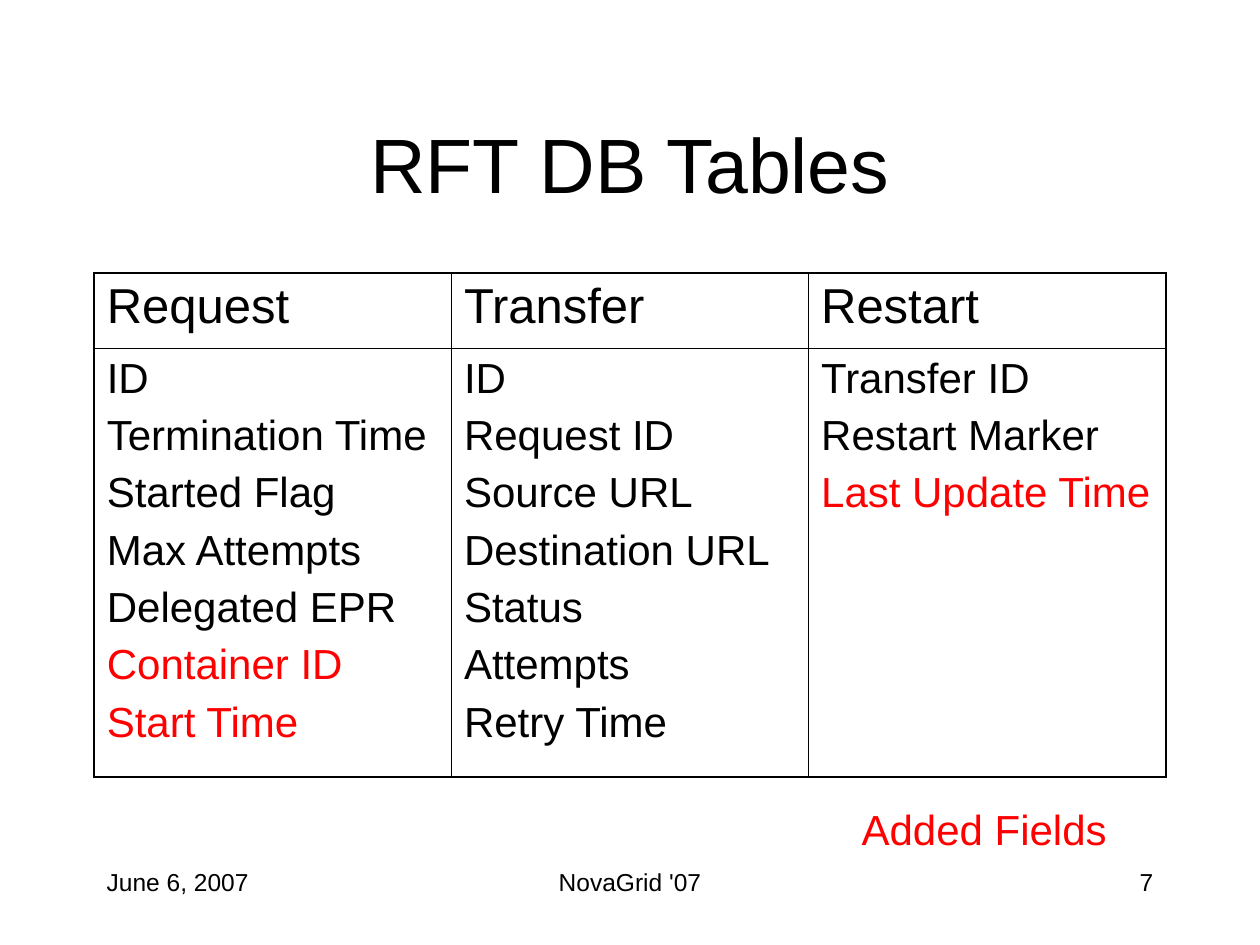
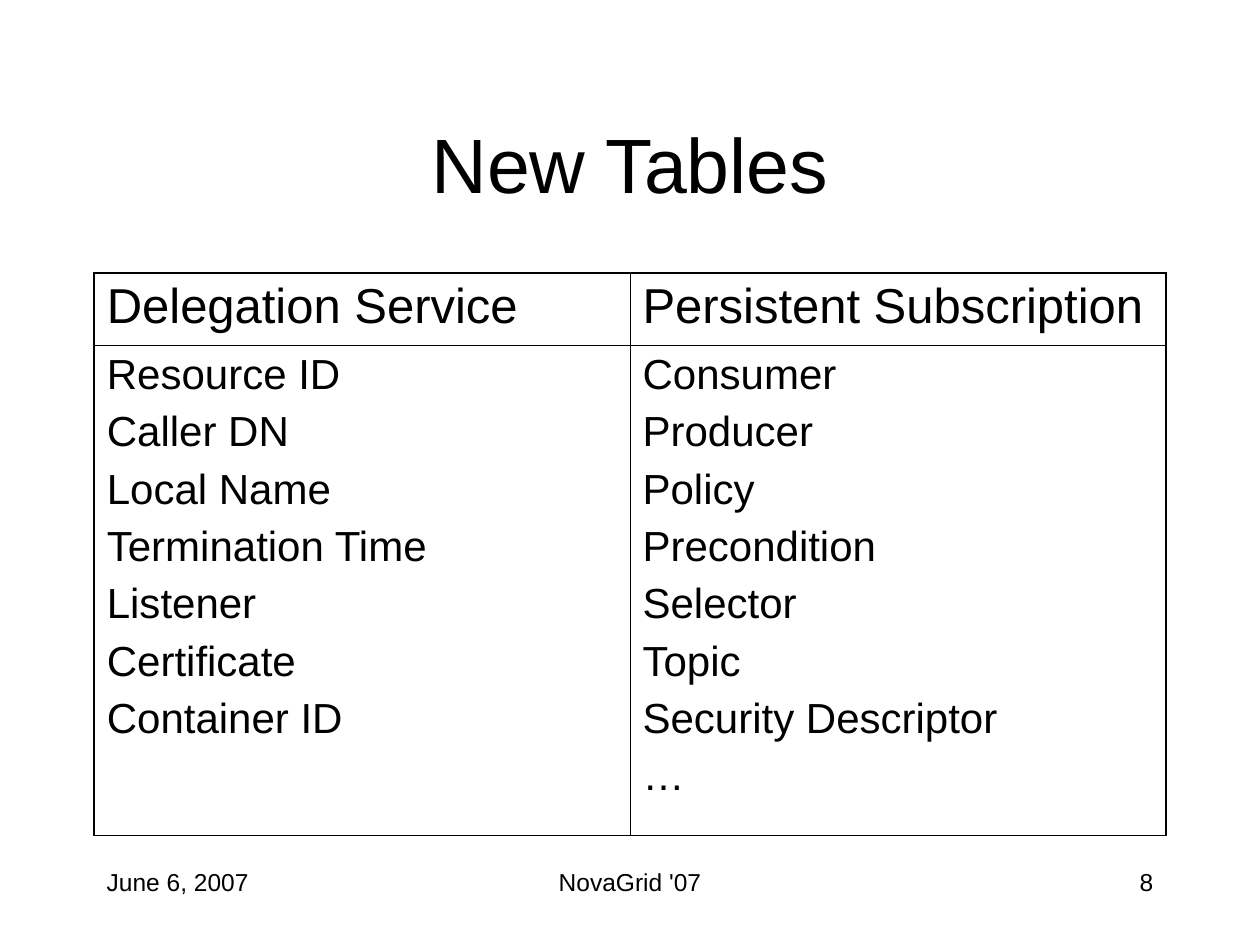
"""Build two slides that list database tables and their fields."""
from dataclasses import dataclass

from lxml import etree
from pptx import Presentation
from pptx import util as u
from pptx.dml import color
from pptx.enum import text
from pptx.oxml import ns


@dataclass(frozen=True)
class Theme:
    font: str = "Arial"
    ink: str = "000000"
    added: str = "FF0000"
    title_size: float = 44
    header_size: float = 28
    field_size: float = 24
    footer_size: float = 14
    outer_line: float = 1.08
    inner_line: float = 0.45


LEFT, WIDTH = 1.9, 21.6
TABLE_TOP = 5.51
FOOTER_TOP, LABEL_HEIGHT = 17.35, 1.27
DATE, EVENT = "June 6, 2007", "NovaGrid '07"
ALIGN = text.PP_ALIGN


class Deck:
    def __init__(self, theme):
        self.theme = theme
        self.deck = Presentation()
        self.deck.slide_width = u.Cm(25.4)
        self.deck.slide_height = u.Cm(19.05)
        self.page = None

    def add_page(self, title, number):
        self.page = self.deck.slides.add_slide(self.deck.slide_layouts[5])
        self.title(title)
        self.footer(number)

    def style(self, para, size, ink=None, align=ALIGN.LEFT, before=0):
        para.alignment = align
        para.space_before = u.Pt(before)
        para.font.name = self.theme.font
        para.font.size = u.Pt(size)
        para.font.color.rgb = color.RGBColor.from_string(ink or self.theme.ink)

    def title(self, words):
        box = self.page.shapes.title
        box.left, box.top = u.Cm(LEFT), u.Cm(1.68)
        box.width, box.height = u.Cm(WIDTH), u.Cm(3.18)
        frame = box.text_frame
        frame.text = words
        frame.auto_size = text.MSO_AUTO_SIZE.NONE
        frame.vertical_anchor = text.MSO_ANCHOR.MIDDLE
        self.style(frame.paragraphs[0], self.theme.title_size, align=ALIGN.CENTER)

    def label(self, words, left, top, width, size, ink=None, align=ALIGN.LEFT):
        box = self.page.shapes.add_textbox(*map(u.Cm, (left, top, width, LABEL_HEIGHT)))
        frame = box.text_frame
        frame.word_wrap = True
        frame.text = words
        self.style(frame.paragraphs[0], size, ink, align)

    def footer(self, number):
        side, middle = 5.3, 8.06
        parts = (
            (EVENT, LEFT + (WIDTH - middle) / 2, middle, ALIGN.CENTER),
            (str(number), LEFT + WIDTH - side, side, ALIGN.RIGHT),
            (DATE, LEFT, side, ALIGN.LEFT),
        )
        for words, left, width, align in parts:
            self.label(words, left, FOOTER_TOP, width, self.theme.footer_size, align=align)

    def borders(self, cell, outer):
        properties = cell._tc.get_or_add_tcPr()
        for side in "LRTB":
            width = self.theme.outer_line if side in outer else self.theme.inner_line
            line = etree.SubElement(properties, ns.qn(f"a:ln{side}"), w=str(u.Pt(width)))
            fill = etree.SubElement(line, ns.qn("a:solidFill"))
            etree.SubElement(fill, ns.qn("a:srgbClr"), val=self.theme.ink)

    def table(self, columns, row_heights, added=()):
        count = len(columns)
        frame = self.page.shapes.add_table(
            2, count, u.Cm(LEFT), u.Cm(TABLE_TOP), u.Cm(WIDTH), u.Cm(sum(row_heights)))
        table = frame.table
        table.first_row = table.horz_banding = False
        for row, height in zip(table.rows, row_heights):
            row.height = u.Cm(height)
        for index, (header, fields) in enumerate(columns.items()):
            sides = "L" * (index == 0) + "R" * (index == count - 1)
            self.cell(table.cell(0, index), [header], self.theme.header_size, 7, "T" + sides)
            self.cell(table.cell(1, index), fields, self.theme.field_size, 6, "B" + sides, added)

    def cell(self, cell, lines, size, before, outer, added=()):
        self.borders(cell, outer)
        cell.fill.background()
        cell.text = "\n".join(lines)
        for para in cell.text_frame.paragraphs:
            ink = self.theme.added if para.text in added else self.theme.ink
            self.style(para, size, ink, before=before)

    def save(self):
        self.deck.save("out.pptx")


def main():
    theme = Theme()
    deck = Deck(theme)

    deck.add_page("RFT DB Tables", 7)
    deck.table({
        "Request": ["ID", "Termination Time", "Started Flag", "Max Attempts",
                    "Delegated EPR", "Container ID", "Start Time"],
        "Transfer": ["ID", "Request ID", "Source URL", "Destination URL",
                     "Status", "Attempts", "Retry Time"],
        "Restart": ["Transfer ID", "Restart Marker", "Last Update Time"],
    }, (1.52, 8.56), added=("Container ID", "Start Time", "Last Update Time"))
    deck.label("Added Fields", 17.12, 16.08, 6, theme.field_size, theme.added)

    deck.add_page("New Tables", 8)
    deck.table({
        "Delegation Service": ["Resource ID", "Caller DN", "Local Name", "Termination Time",
                               "Listener", "Certificate", "Container ID"],
        "Persistent Subscription": ["Consumer", "Producer", "Policy", "Precondition",
                                    "Selector", "Topic", "Security Descriptor", "…"],
    }, (1.45, 9.88))

    deck.save()


if __name__ == "__main__":
    main()
